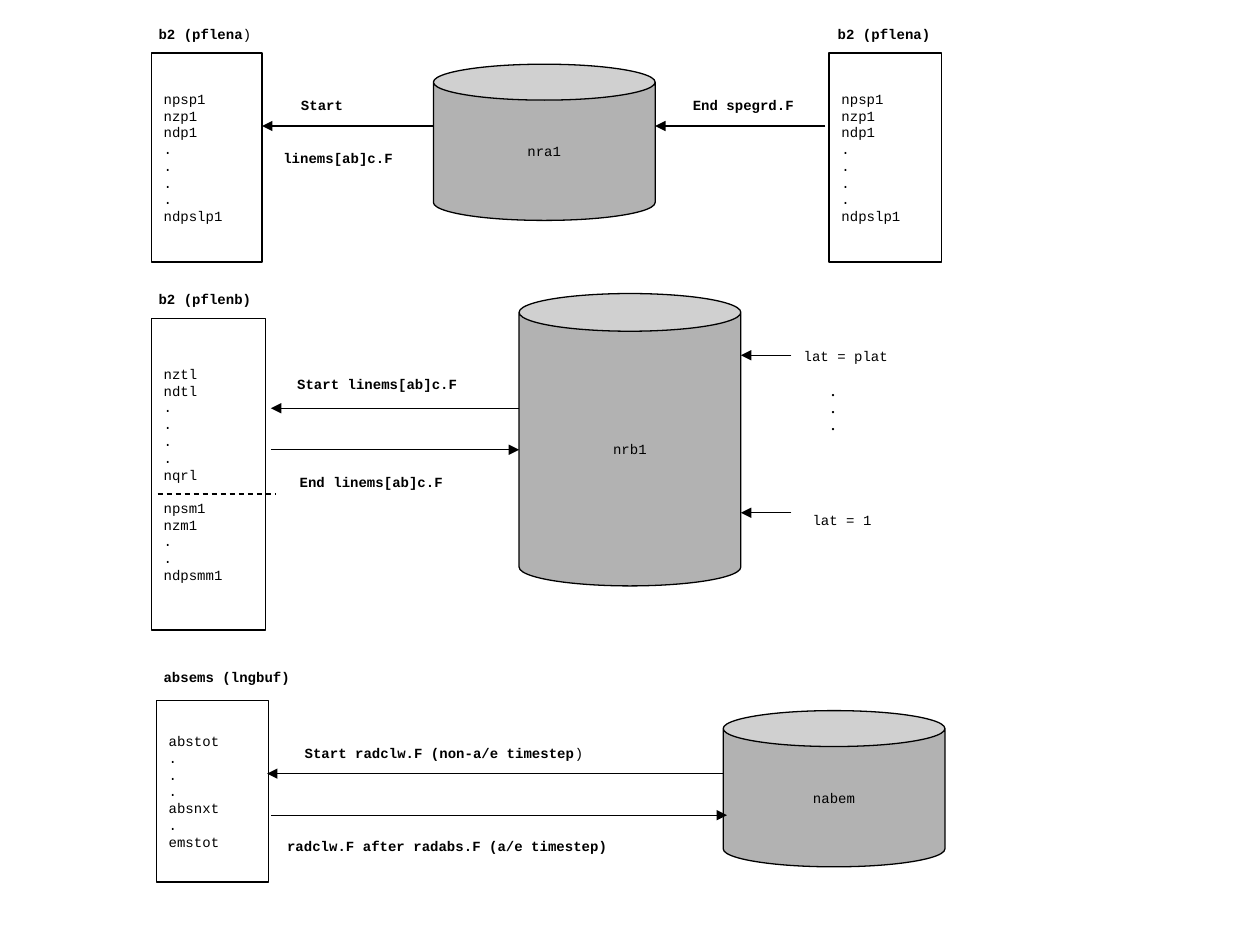
"""Build a slide showing how buffers are read from and written to work files."""
from pptx import Presentation
from pptx.dml.color import RGBColor
from pptx.enum.dml import MSO_LINE
from pptx.enum.shapes import MSO_CONNECTOR as CONN, MSO_SHAPE as SHAPE
from pptx.enum.text import MSO_ANCHOR as ANCHOR, MSO_AUTO_SIZE as FIT, PP_ALIGN as ALIGN
from pptx.oxml.ns import qn
from pptx.util import Inches, Pt
from lxml.etree import SubElement


def color(value):
    return RGBColor.from_string(value)


def write(s, lines, align=ALIGN.LEFT, bold=False, font="Courier New"):
    tf = s.text_frame
    tf.word_wrap = False
    for i, line in enumerate(lines):
        p = tf.paragraphs[0] if i == 0 else tf.add_paragraph()
        p.alignment = align
        p.font.size, p.font.name, p.font.bold = Pt(8), font, bold
        p.font.color.rgb = color("000000")
        p.add_run().text = line
    return tf


prs = Presentation()
prs.slide_width, prs.slide_height = Inches(10), Inches(7.5)
slide = prs.slides.add_slide(prs.slide_layouts[6])
shapes = slide.shapes

fields = ["npsp1", "nzp1", "ndp1", ".", ".", ".", ".", "ndpslp1"]
states = ["nztl", "ndtl", ".", ".", ".", ".", "nqrl", "npsm1", "nzm1", ".", ".", "ndpsmm1"]
absorptivities = ["abstot", ".", ".", ".", "absnxt", ".", "emstot"]

blocks = [
    (SHAPE.CAN, 3.44, 0.51, 1.76, 1.24, ["nra1"]),
    (SHAPE.RECTANGLE, 1.2, 0.42, 0.88, 1.66, fields),
    (SHAPE.RECTANGLE, 6.58, 0.42, 0.89, 1.66, fields),
    (SHAPE.RECTANGLE, 1.2, 2.53, 0.91, 2.47, states),
    (SHAPE.CAN, 4.12, 2.33, 1.76, 2.32, ["nrb1"]),
    (SHAPE.CAN, 5.74, 5.64, 1.76, 1.24, ["nabem"]),
    (SHAPE.RECTANGLE, 1.24, 5.56, 0.89, 1.44, absorptivities),
]
for kind, x, y, w, h, lines in blocks:
    is_can = kind == SHAPE.CAN
    s = shapes.add_shape(kind, Inches(x), Inches(y), Inches(w), Inches(h))
    s.shadow.inherit = False
    s.fill.solid()
    s.fill.fore_color.rgb = color("B2B2B2" if is_can else "FFFFFF")
    s.line.color.rgb = color("000000")
    s.line.width = Pt(0.75)
    if is_can:
        s.adjustments[0] = 0.17 if h > 2 else 0.23
    tf = write(s, lines, ALIGN.CENTER if is_can else ALIGN.LEFT)
    tf.vertical_anchor = ANCHOR.MIDDLE
    for p in tf.paragraphs:
        if p.text == "npsm1":
            p.space_before = Pt(9.5)

labels = [
    (1.16, 0.15, "b2 (pflena", True, ")"),
    (2.29, 0.72, "Start", True, ""),
    (2.15, 1.14, "linems[ab]c.F", True, ""),
    (6.55, 0.15, "b2 (pflena)", True, ""),
    (5.4, 0.72, "End spegrd.F", True, ""),
    (1.16, 2.26, "b2 (pflenb)", True, ""),
    (2.26, 2.93, "Start linems[ab]c.F", True, ""),
    (2.28, 3.71, "End linems[ab]c.F", True, ""),
    (6.28, 2.71, "lat = plat", False, ""),
    (6.35, 4.01, "lat = 1", False, ""),
    (1.2, 5.26, "absems (lngbuf)", True, ""),
    (2.32, 5.86, "Start radclw.F (non-a/e timestep", True, ")"),
    (2.18, 6.6, "radclw.F after radabs.F (a/e timestep)", True, ""),
]
for x, y, text, bold, light_end in labels:
    width = 0.2 + len(text + light_end) * 4.8 / 72
    s = shapes.add_textbox(Inches(x), Inches(y), Inches(width), Inches(0.24))
    tf = write(s, [text], bold=bold)
    tf.margin_right = Inches(0.02)
    tf.auto_size = FIT.SHAPE_TO_FIT_TEXT
    if light_end:
        r = tf.paragraphs[0].add_run()
        r.text, r.font.bold = light_end, False

s = shapes.add_textbox(Inches(6.5), Inches(2.99), Inches(0.23), Inches(0.5))
write(s, [".", ".", "."], bold=True, font="Times New Roman").auto_size = FIT.SHAPE_TO_FIT_TEXT

lines = [
    (3.44, 2.08, 1, True),
    (6.55, 5.2, 1, True),
    (4.12, 2.15, 3.24, True),
    (2.15, 4.12, 3.57, True),
    (6.28, 5.88, 2.82, True),
    (6.28, 5.88, 4.07, True),
    (5.74, 2.12, 6.14, True),
    (2.15, 5.77, 6.47, True),
    (1.25, 2.19, 3.92, False),
]
for start, end, y, has_arrow in lines:
    s = shapes.add_connector(CONN.STRAIGHT, Inches(start), Inches(y), Inches(end), Inches(y))
    s.line.color.rgb = color("000000")
    s.line.width = Pt(0.75)
    if has_arrow:
        SubElement(s.line._get_or_add_ln(), qn("a:tailEnd"), type="triangle")
    else:
        s.line.dash_style = MSO_LINE.DASH
    SubElement(s._element.spPr, qn("a:effectLst"))

prs.save("out.pptx")
